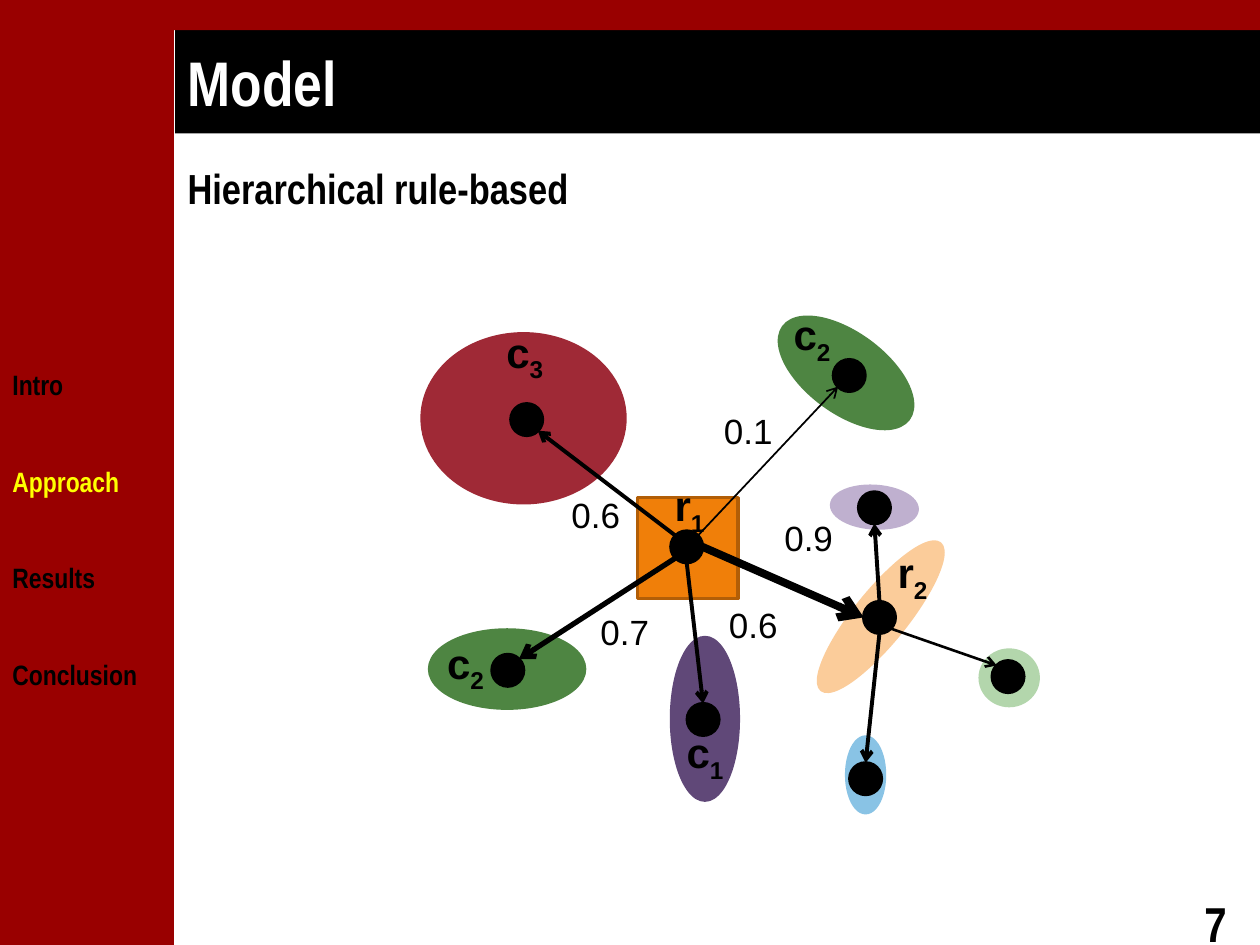
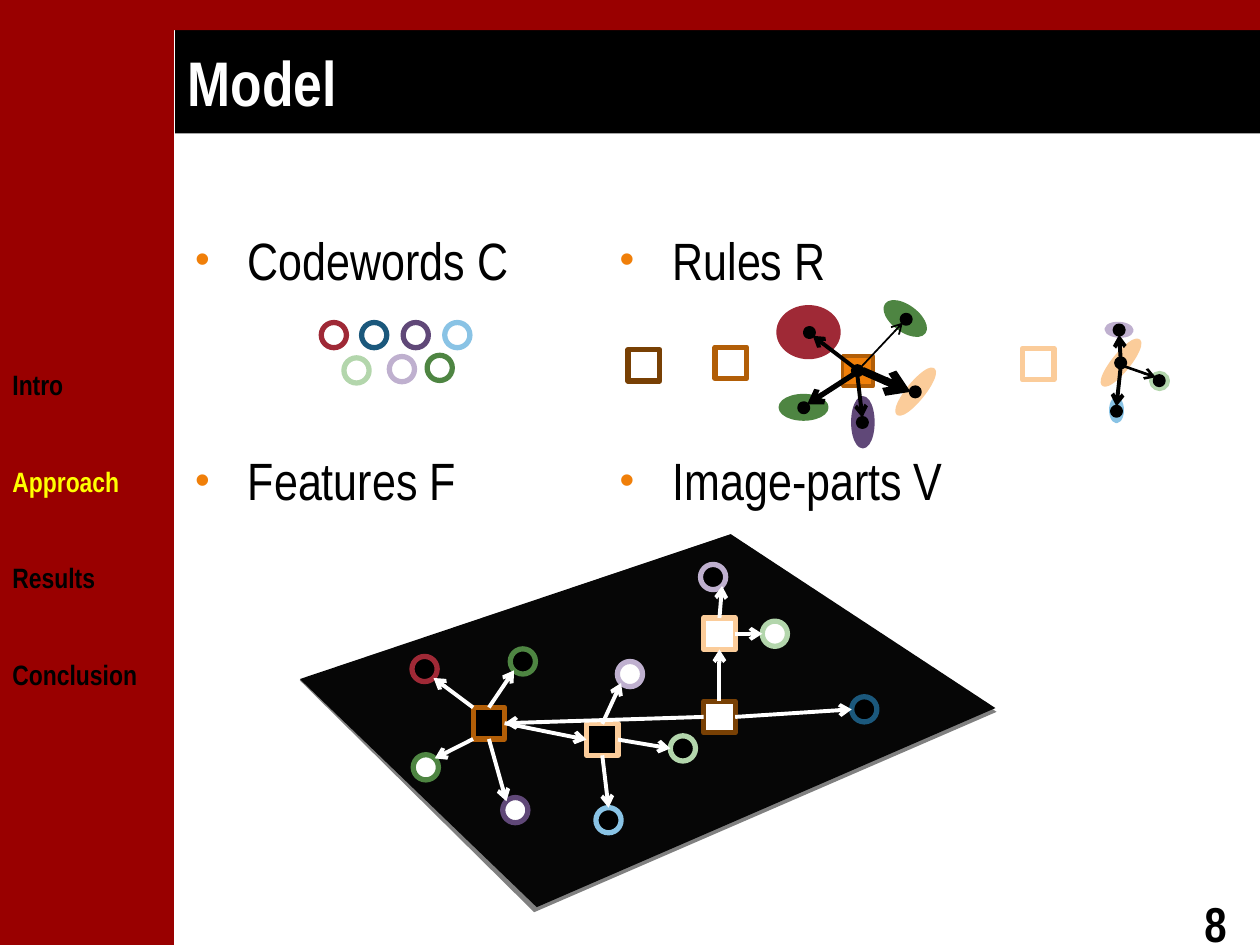
from math import hypot
from lxml.etree import SubElement
from pptx import Presentation
from pptx.dml.color import RGBColor
from pptx.enum.shapes import MSO_CONNECTOR, MSO_SHAPE
from pptx.enum.text import MSO_ANCHOR, MSO_AUTO_SIZE, PP_ALIGN
from pptx.oxml.ns import qn
from pptx.util import Inches, Pt


class Theme:
    wide, high = 10, 7.5
    side, band = 1.38, 0.24
    sans, slim = "Arial", "Arial Narrow"
    black, white, gray, coal = "000000", "FFFFFF", "808080", "060606"
    maroon, yellow = "990000", "FFFF00"
    red, navy, plum, sky = "9F2936", "1B587C", "604878", "89C3E5"
    mint, lilac, green, peach = "B3D6AC", "BFB0CF", "4E8542", "FBCC9A"
    orange, rust, brown = "F07F09", "B25E07", "784004"
    title, head, lead, page, name, value, menu = 36, 30, 24, 28, 24, 20, 16
    thick, ring, edge = 2.25, 3, 2


T = Theme
OVAL, RECT = MSO_SHAPE.OVAL, MSO_SHAPE.RECTANGLE

MENU = ["Intro", "Approach", "Results", "Conclusion"]
ACTIVE = "Approach"

# name: (left, top, width, height, turn, shape, fill, line, dot centre)
CORE = {"r2": (6.79, 4.15, 0.4, 1.49, 39, OVAL, T.peach, T.peach, (6.98, 4.9))}
RULE1 = {
    "left": (3.41, 5, 1.23, 0.62, 0, OVAL, T.green, T.green, (4.03, 5.32)),
    "r1": (5.06, 3.95, 0.8, 0.8, 0, RECT, T.orange, T.rust, (5.45, 4.34)),
    "low": (5.33, 5.06, 0.53, 1.29, 0, OVAL, T.plum, T.plum, (5.58, 5.71)),
    "big": (3.35, 2.65, 1.61, 1.34, 0, OVAL, T.red, T.red, (4.18, 3.33)),
    "far": (6.1, 2.65, 1.23, 0.62, 36.3, OVAL, T.green, T.green, (6.74, 2.98)),
}
RULE2 = {
    "foot": (6.72, 5.85, 0.3, 0.6, 0, OVAL, T.sky, T.sky, (6.87, 6.18)),
    "east": (7.78, 5.16, 0.46, 0.44, 0, OVAL, T.mint, T.mint, (8, 5.37)),
    "top": (6.6, 3.86, 0.68, 0.33, 3.4, OVAL, T.lilac, T.lilac, (6.94, 4.03)),
}
DOT = 0.25
LINKS1 = [
    ("r1", "E", "r2", 4.5), ("r1", "S", "low", 2.25), ("r1", "SW", "left", 3),
    ("r1", "NW", "big", 2.25), ("r1", "NE", "far", 1),
]
LINKS2 = [("r2", "S", "foot", 2.25), ("r2", "SE", "east", 1.5), ("r2", "N", "top", 2.25)]
NAMES = [
    ("c", "2", 6.18, 2.4), ("r", "2", 7, 4.29), ("c", "1", 5.33, 5.72),
    ("c", "2", 3.43, 5.01), ("c", "3", 3.9, 2.54), ("r", "1", 5.23, 3.76),
]
VALUES = [
    ("0.9", 6.12, 4.05), ("0.1", 5.64, 3.2), ("0.6", 5.68, 4.74),
    ("0.7", 4.66, 4.8), ("0.6", 4.43, 3.87),
]

HEADS = [["Codewords C", "Rules R"], ["Features F", "Image-parts V"]]
CODES = [
    (2.65, 2.66, T.red), (2.97, 2.66, T.navy), (3.3, 2.66, T.plum), (3.63, 2.66, T.sky),
    (2.83, 2.94, T.mint), (3.19, 2.93, T.lilac), (3.49, 2.92, T.green),
]
KEYS = [(5.11, 2.9, T.brown), (5.8, 2.88, T.rust), (8.24, 2.89, T.peach)]
PLANE = [
    (T.gray, [(2.38, 5.4), (5.8, 4.24), (7.91, 5.65), (4.24, 7.24)]),
    (T.coal, [(2.38, 5.39), (5.8, 4.24), (7.9, 5.62), (4.26, 7.2)]),
]
# name: (centre x, centre y, shape, fill, line)
TREE = {
    "red": (3.37, 5.31, OVAL, T.black, T.red),
    "navy": (6.86, 5.63, OVAL, T.black, T.navy),
    "plum": (4.09, 6.43, OVAL, T.white, T.plum),
    "sky": (4.83, 6.51, OVAL, T.black, T.sky),
    "mint": (5.42, 5.94, OVAL, T.black, T.mint),
    "lilac": (5, 5.35, OVAL, T.white, T.lilac),
    "green": (4.15, 5.25, OVAL, T.black, T.green),
    "leaf": (3.38, 6.09, OVAL, T.white, T.green),
    "bud": (6.15, 5.03, OVAL, T.white, T.mint),
    "tip": (5.66, 4.58, OVAL, T.black, T.lilac),
    "hub": (3.88, 5.74, RECT, T.black, T.rust),
    "mid": (4.78, 5.87, RECT, T.black, T.peach),
    "high": (5.71, 5.03, RECT, T.white, T.peach),
    "root": (5.71, 5.69, RECT, T.white, T.brown),
}
BRANCHES = [
    ("hub", "N", "green", "SW"), ("hub", "NW", "red", "SE"), ("hub", "SW", "leaf", "NE"),
    ("hub", "S", "plum", "NW"), ("hub", "E", "mid", "W"), ("mid", "N", "lilac", "SW"),
    ("mid", "E", "mint", "W"), ("mid", "S", "sky", "N"), ("high", "E", "bud", "W"),
    ("high", "N", "tip", "SE"), ("root", "E", "navy", "W"), ("root", "N", "high", "S"),
    ("root", "W", "hub", "E"),
]
SIZE = {OVAL: 0.2, RECT: 0.25}
FLIP = str.maketrans("NESW", "SWNE")


def put(obj, **vals):
    for key, val in vals.items():
        setattr(obj, key, val)


def tint(shape, fill, line=None, width=T.edge):
    shape.shadow.inherit = False
    for part, color in ((shape.fill, fill), (shape.line.fill, line)):
        if color:
            part.solid()
            part.fore_color.rgb = RGBColor.from_string(color)
        else:
            part.background()
    if line:
        shape.line.width = Pt(width)


def draw(slide, kind, box, fill, line=None, width=T.edge, turn=0):
    shape = slide.shapes.add_shape(kind, *map(Inches, box))
    shape.rotation = turn
    tint(shape, fill, line, width)


def mark(slide, kind, x, y, size, *look):
    draw(slide, kind, (x - size / 2, y - size / 2, size, size), *look)


def write(para, text, size, bold=False, color=T.black, face=T.slim):
    run = para.add_run()
    run.text = text
    put(run.font, name=face, size=Pt(size), bold=bold)
    run.font.color.rgb = RGBColor.from_string(color)
    return run


def frame(slide, box, wrap=True):
    text = slide.shapes.add_textbox(*map(Inches, box)).text_frame
    text.word_wrap = wrap
    return text


def site(x, y, size, way, kind=OVAL):
    dx, dy = ("E" in way) - ("W" in way), ("S" in way) - ("N" in way)
    reach = size / 2 / (hypot(dx, dy) if kind == OVAL else 1)
    return x + dx * reach, y + dy * reach


def arrow(slide, start, end, color, width):
    line = slide.shapes.add_connector(MSO_CONNECTOR.STRAIGHT, *map(Inches, start + end))
    line.line.color.rgb = RGBColor.from_string(color)
    line.line.width = Pt(width)
    props = line.element.spPr
    SubElement(props.find(qn("a:ln")), qn("a:tailEnd"), type="arrow")
    SubElement(props, qn("a:effectLst"))


def graph(slide, nodes, links, scale=1, dx=0, dy=0):
    def spot(x, y):
        return x * scale + dx, y * scale + dy

    size = DOT * scale
    dots = {name: spot(*node[-1]) for name, node in nodes.items()}
    for x, y, w, h, turn, kind, fill, line, _ in nodes.values():
        draw(slide, kind, (*spot(x, y), w * scale, h * scale), fill, line, T.edge, turn)
    for start, way, end, width in links:
        arrow(slide, site(*dots[start], size, way),
              site(*dots[end], size, way.translate(FLIP)), T.black, width)
    for x, y in dots.values():
        mark(slide, OVAL, x, y, size, T.black, T.black)


def base(deck, page):
    slide = deck.slides.add_slide(deck.slide_layouts[5])
    draw(slide, RECT, (0, 0, T.side, T.high), T.maroon)
    draw(slide, RECT, (0, 0, T.wide, T.band), T.maroon)
    title = slide.shapes.title
    put(title, left=Inches(1.39), top=Inches(0.23), width=Inches(8.61), height=Inches(0.83))
    tint(title, T.black)
    put(title.text_frame, vertical_anchor=MSO_ANCHOR.MIDDLE, auto_size=MSO_AUTO_SIZE.NONE)
    para = title.text_frame.paragraphs[0]
    para.alignment = PP_ALIGN.LEFT
    write(para, "Model", T.title, True, T.white)
    menu = frame(slide, (0, 2.87, 1.35, 2.7))
    for i, item in enumerate(MENU):
        para = menu.add_paragraph() if i else menu.paragraphs[0]
        para.space_before = Pt(36 if i else 0)
        write(para, item, T.menu, True, T.yellow if item == ACTIVE else T.black)
    number = frame(slide, (9.46, 7.04, 0.59, 0.57), False)
    write(number.paragraphs[0], str(page), T.page, True)
    return slide


def label(slide, box, text, size, bold=False, sub=""):
    para = frame(slide, box, False).paragraphs[0]
    para.alignment = PP_ALIGN.RIGHT
    write(para, text, size, bold, face=T.sans)
    if sub:
        run = write(para, sub, size, bold, face=T.sans)
        run.font._element.set("baseline", "-25000")


def bullet(slide, x, y, text):
    para = frame(slide, (x, y, 4, 0.6)).paragraphs[0]
    props = para._p.get_or_add_pPr()
    props.set("marL", str(Inches(0.46)))
    props.set("indent", str(Inches(-0.42)))
    SubElement(SubElement(props, qn("a:buClr")), qn("a:srgbClr"), val=T.orange)
    SubElement(props, qn("a:buSzPct"), val="80000")
    SubElement(props, qn("a:buFont"), typeface=T.sans)
    SubElement(props, qn("a:buChar"), char="•")
    write(para, text, T.head)


def rules(deck):
    slide = base(deck, 7)
    lead = frame(slide, (1.39, 1.24, 8.43, 0.5))
    write(lead.paragraphs[0], "Hierarchical rule-based", T.lead, True)
    graph(slide, RULE1 | CORE | RULE2, LINKS1 + LINKS2)
    for text, sub, x, y in NAMES:
        label(slide, (x, y, 0.51 if text == "c" else 0.46, 0.5), text, T.name, True, sub)
    for text, x, y in VALUES:
        label(slide, (x, y, 0.59, 0.43), text, T.value)


def parts(deck):
    slide = base(deck, 8)
    for row, heads in enumerate(HEADS):
        for col, text in enumerate(heads):
            bullet(slide, 1.41 + 3.37 * col, 1.76 + 1.75 * row, text)
    for x, y, color in CODES:
        mark(slide, OVAL, x, y, SIZE[OVAL], None, color, T.ring)
    for x, y, color in KEYS:
        mark(slide, RECT, x, y, SIZE[RECT], None, color, T.ring)
    graph(slide, RULE1 | CORE, LINKS1, 0.3, 5.17, 1.64)
    graph(slide, CORE | RULE2, LINKS2, 0.3, 6.8, 1.41)
    for color, points in PLANE:
        spots = [(Inches(x), Inches(y)) for x, y in points]
        pen = slide.shapes.build_freeform(*spots[0])
        pen.add_line_segments(spots[1:])
        tint(pen.convert_to_shape(), color)
    for x, y, kind, fill, line in TREE.values():
        mark(slide, kind, x, y, SIZE[kind], fill, line, T.ring)
    for start, out, end, into in BRANCHES:
        ends = []
        for name, way in ((start, out), (end, into)):
            x, y, kind = TREE[name][:3]
            ends.append(site(x, y, SIZE[kind], way, kind))
        arrow(slide, *ends, T.white, T.thick)


def main():
    deck = Presentation()
    put(deck, slide_width=Inches(T.wide), slide_height=Inches(T.high))
    rules(deck)
    parts(deck)
    deck.save("out.pptx")


if __name__ == "__main__":
    main()
